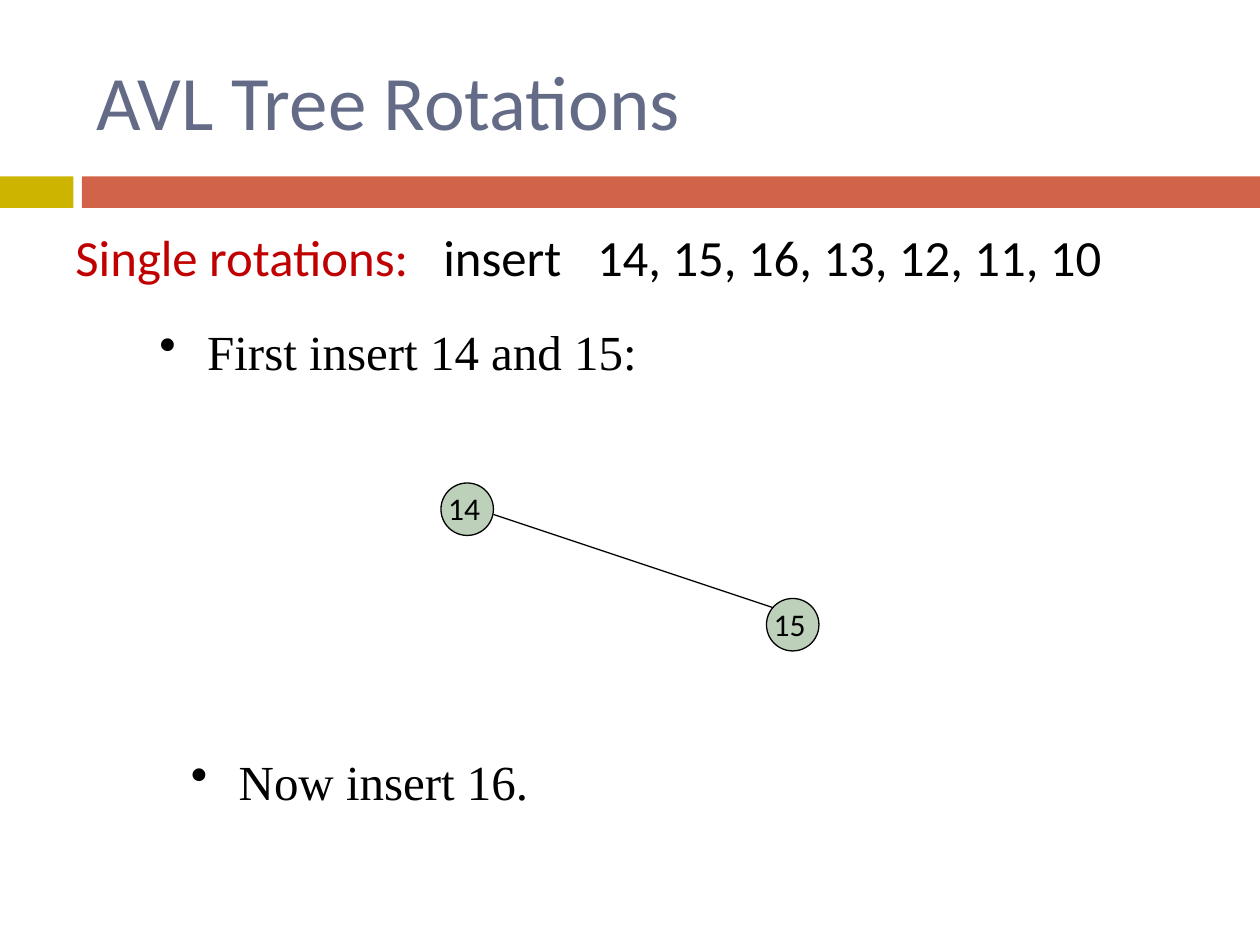
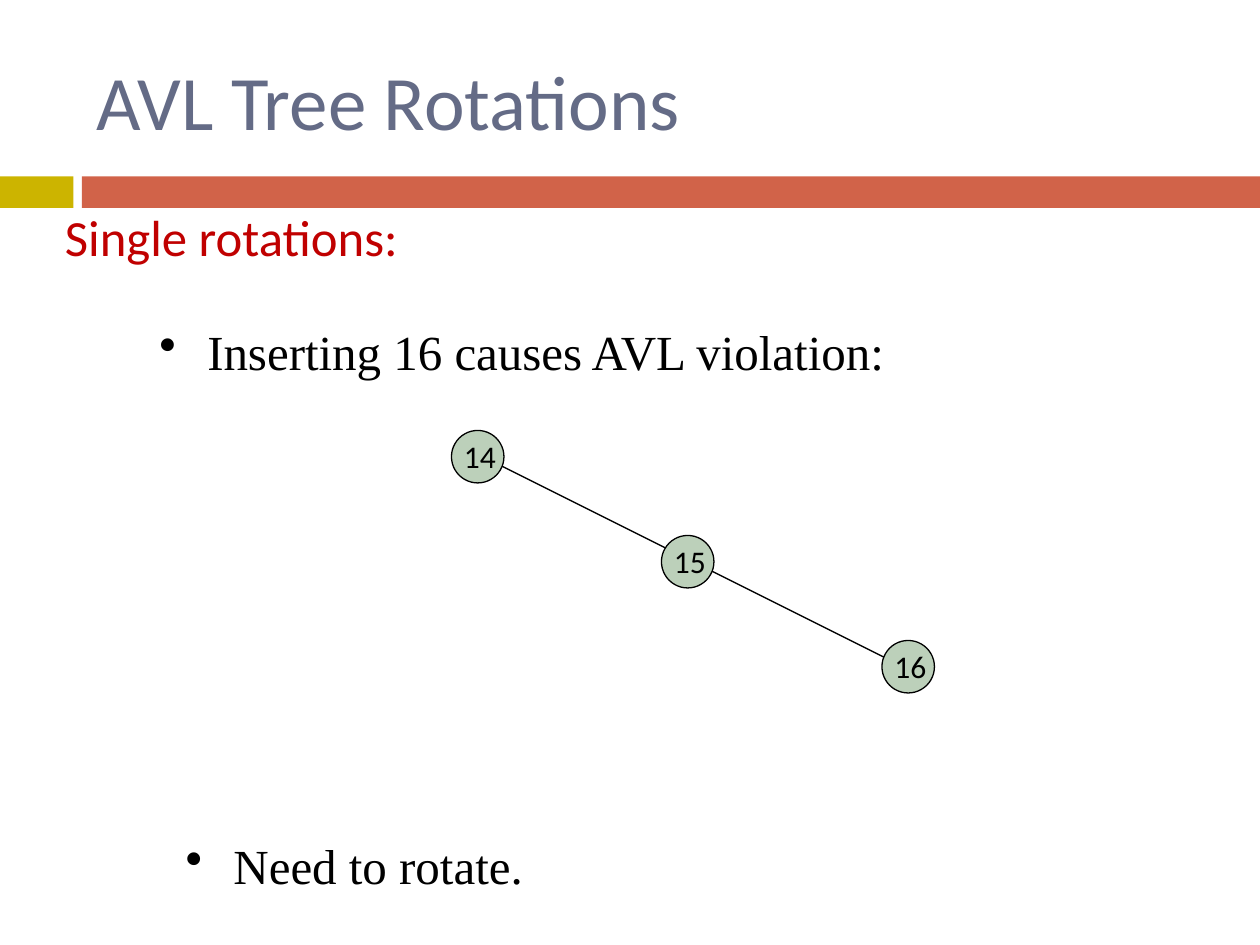
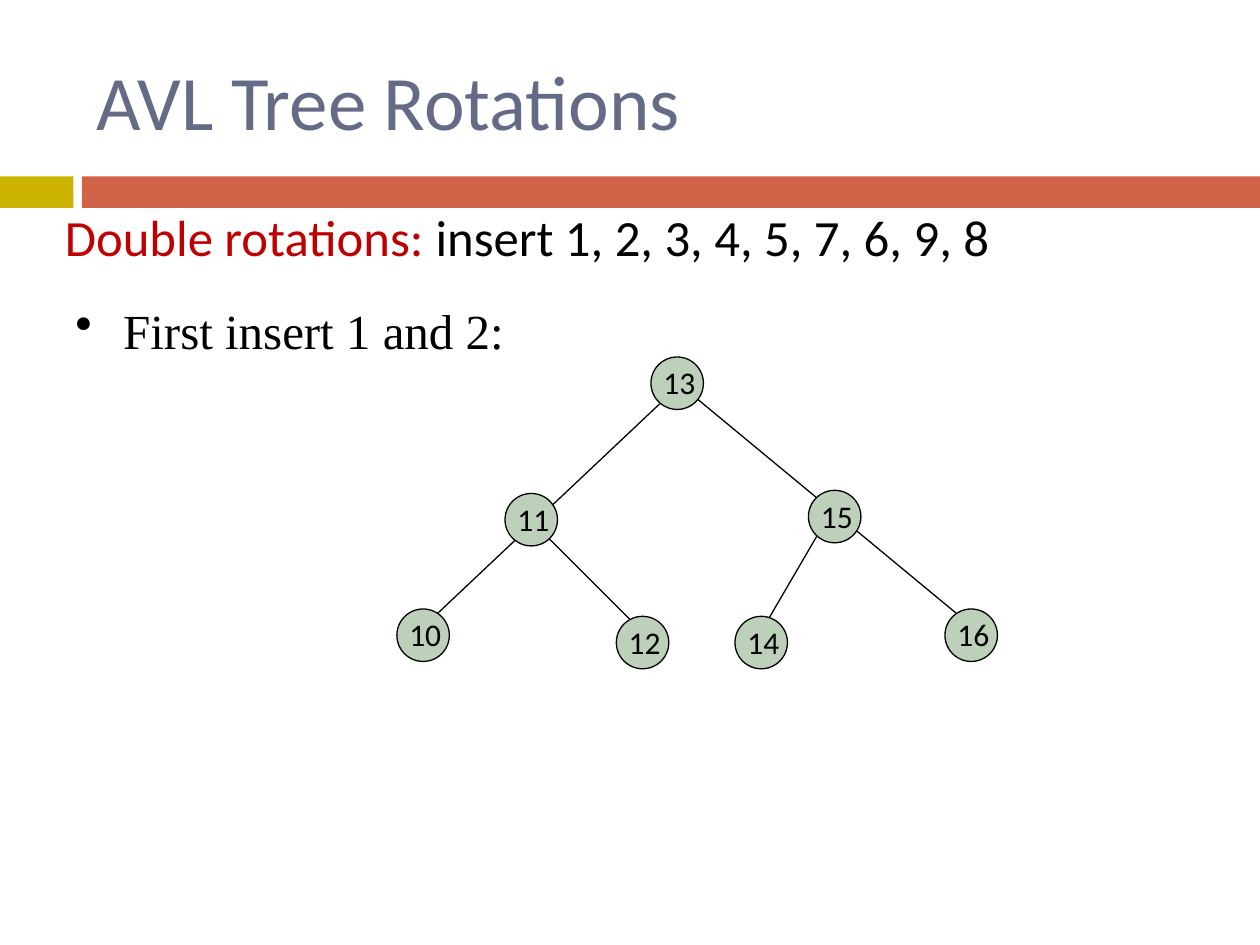
from dataclasses import dataclass
from typing import NamedTuple

from lxml.etree import SubElement
from pptx import Presentation
from pptx.dml.color import RGBColor
from pptx.enum.shapes import MSO_CONNECTOR, MSO_SHAPE
from pptx.enum.text import MSO_ANCHOR, MSO_AUTO_SIZE, PP_ALIGN
from pptx.oxml.ns import qn
from pptx.util import Inches, Pt

# Shared look
TITLE = "AVL Tree Rotations"
SLATE, RED, BLACK = "646B86", "C00000", "000000"
GOLD, BRICK, SAGE = "CCB400", "D16349", "BCD0BA"
SANS, SERIF = "Calibri", "Times New Roman"
BULLET_INDENT = Inches(0.38)

# Grid of 120 columns by 90 rows on a 10 x 7.5 inch slide
COLUMNS, ROWS = 120, 90
SLIDE_WIDTH, SLIDE_HEIGHT = Inches(10), Inches(7.5)
NODE_SIZE = 5


class Box(NamedTuple):
    column: float
    row: float
    columns: float
    rows: float


class Run(NamedTuple):
    text: str
    color: str = BLACK


class Node(NamedTuple):
    key: int
    column: float
    row: float


class Edge(NamedTuple):
    column_from: float
    row_from: float
    column_to: float
    row_to: float


class Bullet(NamedTuple):
    text: str
    box: Box


@dataclass(frozen=True)
class Step:
    heading: tuple[Run, ...]
    heading_box: Box
    bullets: tuple[Bullet, ...]
    nodes: tuple[Node, ...]
    edges: tuple[Edge, ...]
    tab_stops: tuple[float, ...] = ()
    key_shift: float = 0


TITLE_BOX = Box(8, 2, 102, 15)
BANDS = ((GOLD, Box(0, 16.8, 7, 3)), (BRICK, Box(7.8, 16.8, 112.2, 3)))
UPPER_HEADING = Box(5, 19, 112, 8)

STEPS = (
    Step(
        heading=(Run("Single rotations:", RED), Run("\tinsert\t14, 15, 16, 13, 12, 11, 10")),
        heading_box=Box(6, 20.9, 112, 9),
        tab_stops=(2.92, 4.14),
        bullets=(
            Bullet("First insert 14 and 15:", Box(14, 30, 48, 8)),
            Bullet("Now insert 16.", Box(17, 71, 48, 8)),
        ),
        nodes=(Node(14, 42, 46), Node(15, 73, 57)),
        edges=(Edge(47, 49, 74, 58),),
        key_shift=-0.5,
    ),
    Step(
        heading=(Run("Single rotations:", RED),),
        heading_box=UPPER_HEADING,
        bullets=(
            Bullet("Inserting 16 causes AVL violation:", Box(14, 30, 98, 8)),
            Bullet("Need to rotate.", Box(16.5, 79, 89, 8)),
        ),
        nodes=(Node(14, 43, 41), Node(15, 63, 51), Node(16, 84, 61)),
        edges=(Edge(45, 43, 87, 64),),
    ),
    Step(
        heading=(Run("Double rotations: ", RED), Run("insert 1, 2, 3, 4, 5, 7, 6, 9, 8")),
        heading_box=UPPER_HEADING,
        bullets=(Bullet("First insert 1 and 2:", Box(6, 28, 48, 8)),),
        nodes=(
            Node(13, 62, 34),
            Node(15, 77, 46.7),
            Node(16, 90, 58),
            Node(11, 48.1, 47),
            Node(14, 70, 58.7),
            Node(10, 37.8, 58),
            Node(12, 58.7, 58.7),
        ),
        edges=(
            Edge(50, 49, 62, 61),
            Edge(79, 49, 72, 61),
            Edge(40, 60, 64.7, 36.7),
            Edge(64, 36, 93, 60),
        ),
    ),
)


def rgb(color: str) -> RGBColor:
    return RGBColor.from_string(color)


def across(columns: float) -> int:
    return round(SLIDE_WIDTH * columns / COLUMNS)


def down(rows: float) -> int:
    return round(SLIDE_HEIGHT * rows / ROWS)


def place(box: Box) -> tuple[int, int, int, int]:
    return across(box.column), down(box.row), across(box.columns), down(box.rows)


def write(shape, *runs: Run, size: float, font: str = SANS, bullet: bool = False,
          tab_stops: tuple[float, ...] = (), anchor=MSO_ANCHOR.TOP,
          fit=MSO_AUTO_SIZE.NONE) -> None:
    frame = shape.text_frame
    frame.word_wrap = True
    frame.auto_size = fit
    frame.vertical_anchor = anchor
    paragraph = frame.paragraphs[0]
    paragraph.alignment = PP_ALIGN.LEFT
    properties = paragraph._p.get_or_add_pPr()
    if bullet:
        properties.set("marL", str(BULLET_INDENT))
        properties.set("indent", str(-BULLET_INDENT))
        SubElement(properties, qn("a:buChar"), char="•")
    if tab_stops:
        stops = SubElement(properties, qn("a:tabLst"))
        for stop in tab_stops:
            SubElement(stops, qn("a:tab"), pos=str(Inches(stop)), algn="l")
    for text, color in runs:
        run = paragraph.add_run()
        run.text = text
        run.font.size = Pt(size)
        run.font.name = font
        run.font.color.rgb = rgb(color)


def add_text(slide, box: Box, *runs: Run, **text_format) -> None:
    write(slide.shapes.add_textbox(*place(box)), *runs, **text_format)


def add_filled(slide, kind, box: Box, fill: str, outline: str | None = None) -> None:
    shape = slide.shapes.add_shape(kind, *place(box))
    shape.shadow.inherit = False
    shape.fill.solid()
    shape.fill.fore_color.rgb = rgb(fill)
    if outline:
        shape.line.color.rgb = rgb(outline)
        shape.line.width = Pt(0.75)
    else:
        shape.line.fill.background()


def add_edge(slide, edge: Edge) -> None:
    line = slide.shapes.add_connector(
        MSO_CONNECTOR.STRAIGHT, across(edge.column_from), down(edge.row_from),
        across(edge.column_to), down(edge.row_to))
    line.line.color.rgb = rgb(BLACK)
    line.line.width = Pt(0.75)
    SubElement(line._element.spPr, qn("a:effectLst"))


def add_node(slide, node: Node, key_shift: float) -> None:
    circle = Box(node.column, node.row, NODE_SIZE, NODE_SIZE)
    add_filled(slide, MSO_SHAPE.OVAL, circle, SAGE, BLACK)
    add_text(slide, Box(node.column + key_shift, node.row, 6, 4.8),
             Run(str(node.key)), size=18, fit=MSO_AUTO_SIZE.SHAPE_TO_FIT_TEXT)


def add_step(deck, step: Step) -> None:
    slide = deck.slides.add_slide(deck.slide_layouts.get_by_name("Title Only"))

    # Bands and title
    for color, box in BANDS:
        add_filled(slide, MSO_SHAPE.RECTANGLE, box, color)
    title = slide.shapes.title
    title.left, title.top, title.width, title.height = place(TITLE_BOX)
    write(title, Run(TITLE, SLATE), size=44, anchor=MSO_ANCHOR.MIDDLE)

    # Heading and bullets
    add_text(slide, step.heading_box, *step.heading, size=29, tab_stops=step.tab_stops)
    for text, box in step.bullets:
        add_text(slide, box, Run(text), size=28, font=SERIF, bullet=True)

    # Tree, with nodes over edges
    for edge in step.edges:
        add_edge(slide, edge)
    for node in step.nodes:
        add_node(slide, node, step.key_shift)


def main() -> None:
    deck = Presentation()
    deck.slide_width, deck.slide_height = SLIDE_WIDTH, SLIDE_HEIGHT
    for step in STEPS:
        add_step(deck, step)
    deck.save("out.pptx")


if __name__ == "__main__":
    main()
